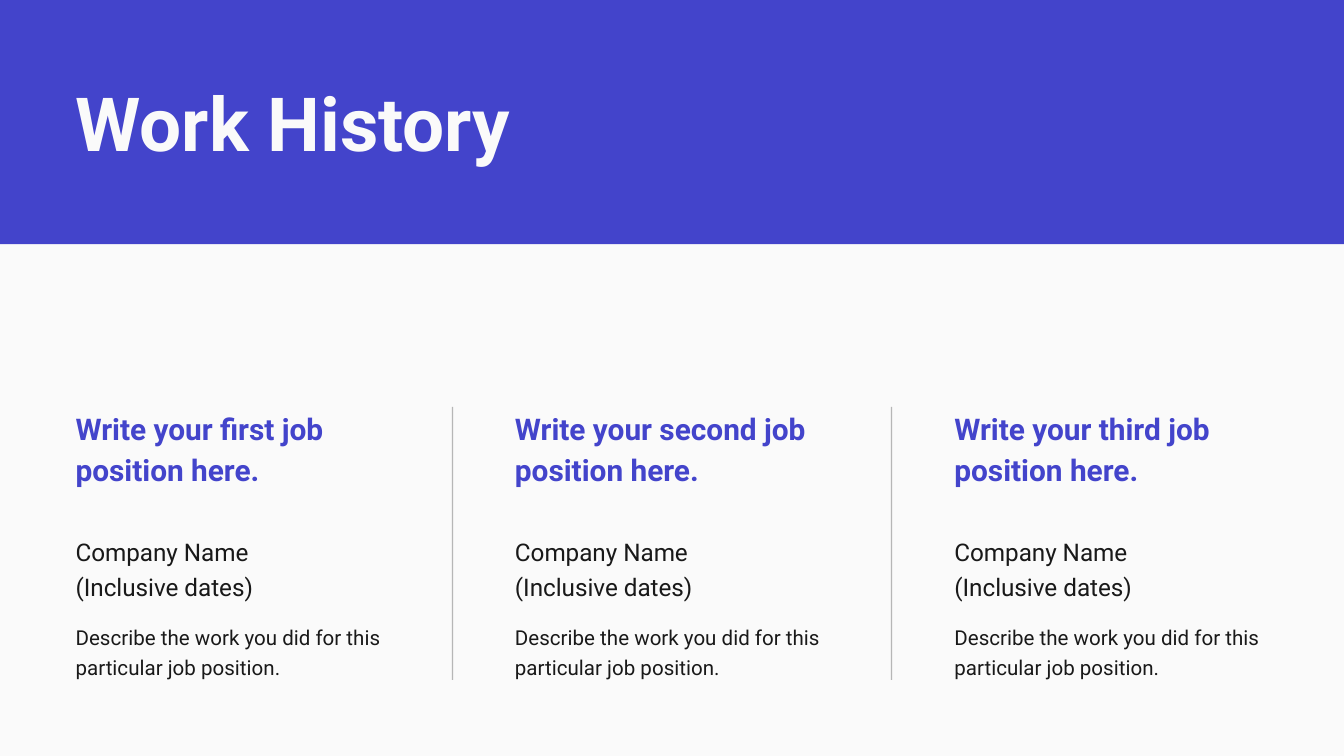
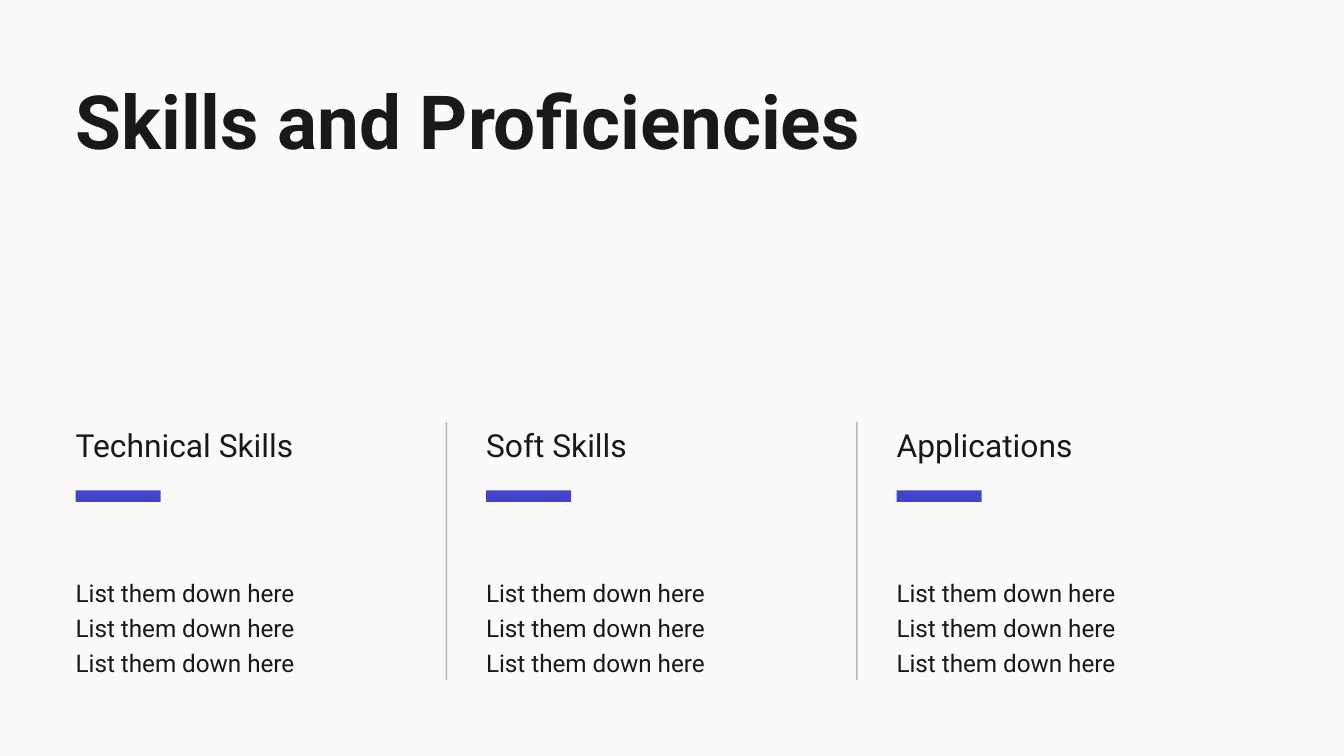
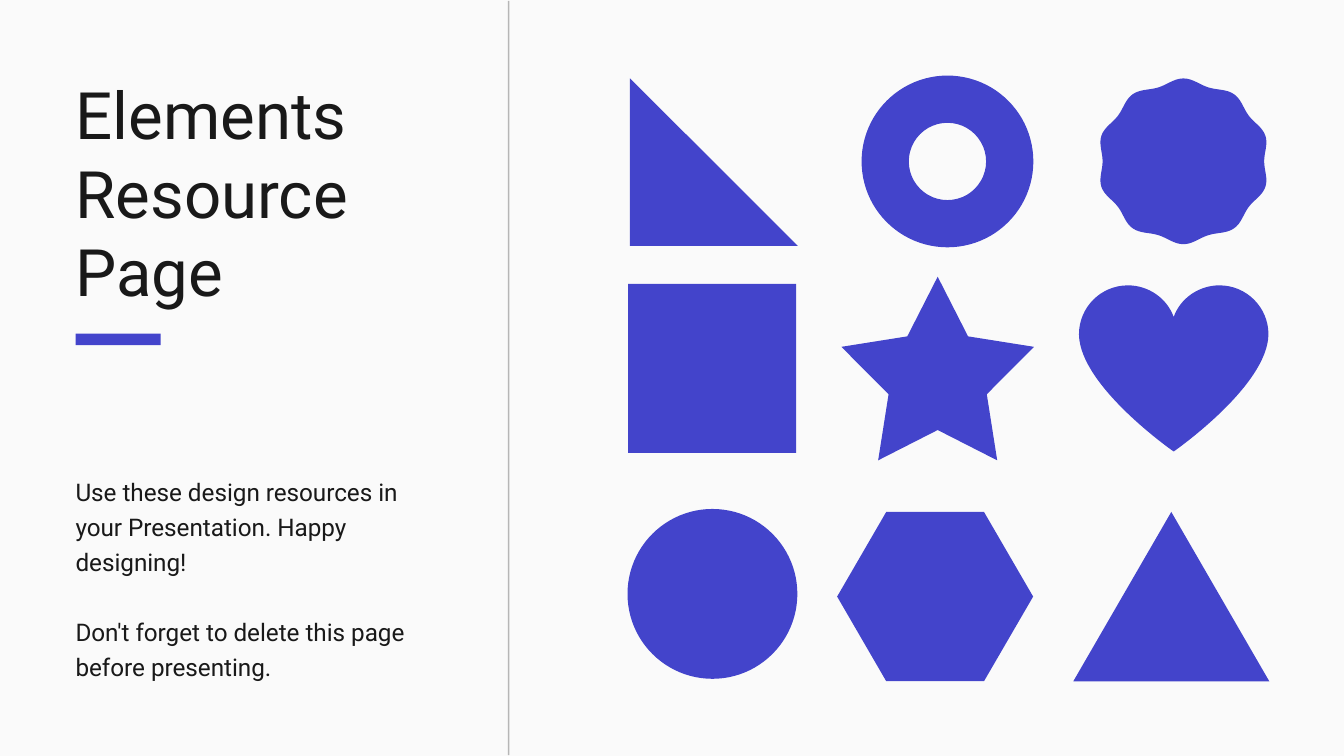
from math import cos, pi, sin

from lxml import etree
from pptx import Presentation
from pptx.dml.color import RGBColor
from pptx.enum import shapes, text
from pptx.oxml import ns
from pptx.util import Pt

BLUE = RGBColor(0x43, 0x44, 0xCB)
INK = RGBColor(0x19, 0x19, 0x19)
PAPER = RGBColor(0xFA, 0xFA, 0xFA)
FONT = "Roboto"
WIDTH, HEIGHT = 720, 405
LEFT = 40.5
FOOT = 364.25
FORM = shapes.MSO_SHAPE


class Deck:
    """Holds the shared style and the slide being filled."""

    def __init__(self):
        self.prs = Presentation()
        self.prs.slide_width, self.prs.slide_height = Pt(WIDTH), Pt(HEIGHT)
        self.slide = None

    def page(self):
        self.slide = self.prs.slides.add_slide(self.prs.slide_layouts[6])
        fill = self.slide.background.fill
        fill.solid()
        fill.fore_color.rgb = PAPER

    def paint(self, shape):
        shape.shadow.inherit = False
        shape.fill.solid()
        shape.fill.fore_color.rgb = BLUE
        shape.line.fill.background()

    def shape(self, form, x, y, w, h, *adjust):
        item = self.slide.shapes.add_shape(form, Pt(x), Pt(y), Pt(w), Pt(h))
        for i, value in enumerate(adjust):
            item.adjustments[i] = value
        self.paint(item)

    def curve(self, points):
        """Draw a closed shape: a start, then three points for each curve."""
        first, *rest = [(Pt(x), Pt(y)) for x, y in points]
        pen = self.slide.shapes.build_freeform(*first)
        pen.add_line_segments(rest, close=True)
        item = pen.convert_to_shape()
        steps = list(item._element.iter(ns.qn("a:lnTo")))
        for i in range(0, len(steps), 3):
            bend = etree.Element(ns.qn("a:cubicBezTo"))
            steps[i].addprevious(bend)
            for step in steps[i:i + 3]:
                bend.append(step[0])
                step.getparent().remove(step)
        self.paint(item)

    def accent(self, x, y):
        self.shape(FORM.RECTANGLE, x, y, 45.6, 6.25)

    def rule(self, x, top, foot=FOOT):
        """Draw a faint upright divider."""
        line = self.slide.shapes.add_connector(
            shapes.MSO_CONNECTOR.STRAIGHT, Pt(x), Pt(foot), Pt(x), Pt(top))
        line.line.width = Pt(0.75)
        line.line.color.rgb = INK
        props = line._element.spPr
        color = next(props.iter(ns.qn("a:srgbClr")))
        etree.SubElement(color, ns.qn("a:alpha"), val="30000")
        etree.SubElement(props, ns.qn("a:effectLst"))

    def text(self, lines, x, y, w, h, size, color=INK, bold=False,
             lead=1.2, gap=0):
        box = self.slide.shapes.add_textbox(Pt(x), Pt(y), Pt(w), Pt(h))
        frame = box.text_frame
        frame.word_wrap = True
        frame.vertical_anchor = text.MSO_ANCHOR.TOP
        frame.margin_left = frame.margin_right = 0
        frame.margin_top = frame.margin_bottom = 0
        for i, line in enumerate(lines):
            para = frame.paragraphs[0] if i == 0 else frame.add_paragraph()
            para.text = line
            para.line_spacing = lead
            if i and gap:
                para.space_before = Pt(gap)
            font = para.font
            font.name, font.size, font.bold = FONT, Pt(size), bold
            font.color.rgb = color

    def title(self, words, y, color=INK):
        self.text([words], LEFT, y, 515, 48, 40, color, True, 1.0)


def seal(cx, cy, waves=10, reach=4.75):
    """Return curve points for a round badge with soft waves."""
    points = []
    for i in range(2 * waves + 1):
        turn = i * pi / waves
        size = 41.6 if i % 2 else 44.4
        for pull in (-reach, 0, reach):
            points.append((cx + 1.04 * (size * sin(turn) + pull * cos(turn)),
                           cy - size * cos(turn) + pull * sin(turn)))
    return points[1:-1]


def heart(cx, top):
    """Return curve points for a heart, from the tip round and back."""
    side = [(0, 89), (0, 89), (50.4, 54), (50.75, 26.25),
            (50.75, 11.75), (39, 0), (24.5, 0),
            (13.5, 0), (3.5, 7), (0, 17)]
    return ([(cx + x, top + y) for x, y in side]
            + [(cx - x, top + y) for x, y in side[-2::-1]])


def history(deck):
    deck.page()
    for i in range(2):
        deck.rule(242.4 + 235.2 * i, 218)
    deck.shape(FORM.RECTANGLE, 0, 0, WIDTH, 130.8)
    deck.title("Work History", 41, PAPER)
    for i, rank in enumerate(("first", "second", "third")):
        x = LEFT + 235.4 * i
        deck.text([f"Write your {rank} job position here."],
                  x, 217.1, 168.5, 42, 16, BLUE, True, 1.15)
        deck.text(["Company Name", "(Inclusive dates)"],
                  x, 284.5, 168.5, 34.5, 13)
        deck.text(["Describe the work you did for this particular "
                   "job position."], x, 332.2, 168.5, 29.5, 11)


def skills(deck):
    deck.page()
    deck.title("Skills and Proficiencies", 40)
    for i, name in enumerate(("Technical Skills", "Soft Skills",
                              "Applications")):
        x = LEFT + 219.9 * i
        deck.text([name], x, 224, 178, 21, 17)
        deck.text(["List them down here"] * 3, x, 306.5, 178, 53.5, 13)
        deck.accent(x, 262.75)
        if i:
            deck.rule(x - 21.25, 226)


def elements(deck):
    deck.page()
    deck.rule(272.5, 0.5, 404.6)
    deck.text(["Elements", "Resource", "Page"],
              LEFT, 39.9, 199.5, 127.5, 35, lead=1.0)
    deck.accent(LEFT, 178.75)
    deck.text(["Use these design resources in your Presentation. "
               "Happy designing!",
               "Don't forget to delete this page before presenting."],
              LEFT, 252.5, 199.5, 110, 13, gap=18.75)
    for form in (
        (FORM.RIGHT_TRIANGLE, 337.5, 42, 90, 89.8),
        (FORM.DONUT, 461.6, 40.5, 92, 92, 0.275),
        (FORM.RECTANGLE, 336.5, 152.1, 90, 90.5),
        (FORM.STAR_5_POINT, 450.75, 148.25, 103.2, 98.4, 0.255),
        (FORM.OVAL, 336.2, 272.7, 91, 91),
        (FORM.HEXAGON, 448.5, 274.25, 105, 90.75, 0.29),
        (FORM.ISOSCELES_TRIANGLE, 575, 274.25, 105, 90.75),
    ):
        deck.shape(*form)
    deck.curve(seal(634, 86.4))
    deck.curve(heart(628.75, 152.9))


def main():
    deck = Deck()
    history(deck)
    skills(deck)
    elements(deck)
    deck.prs.save("out.pptx")


if __name__ == "__main__":
    main()
